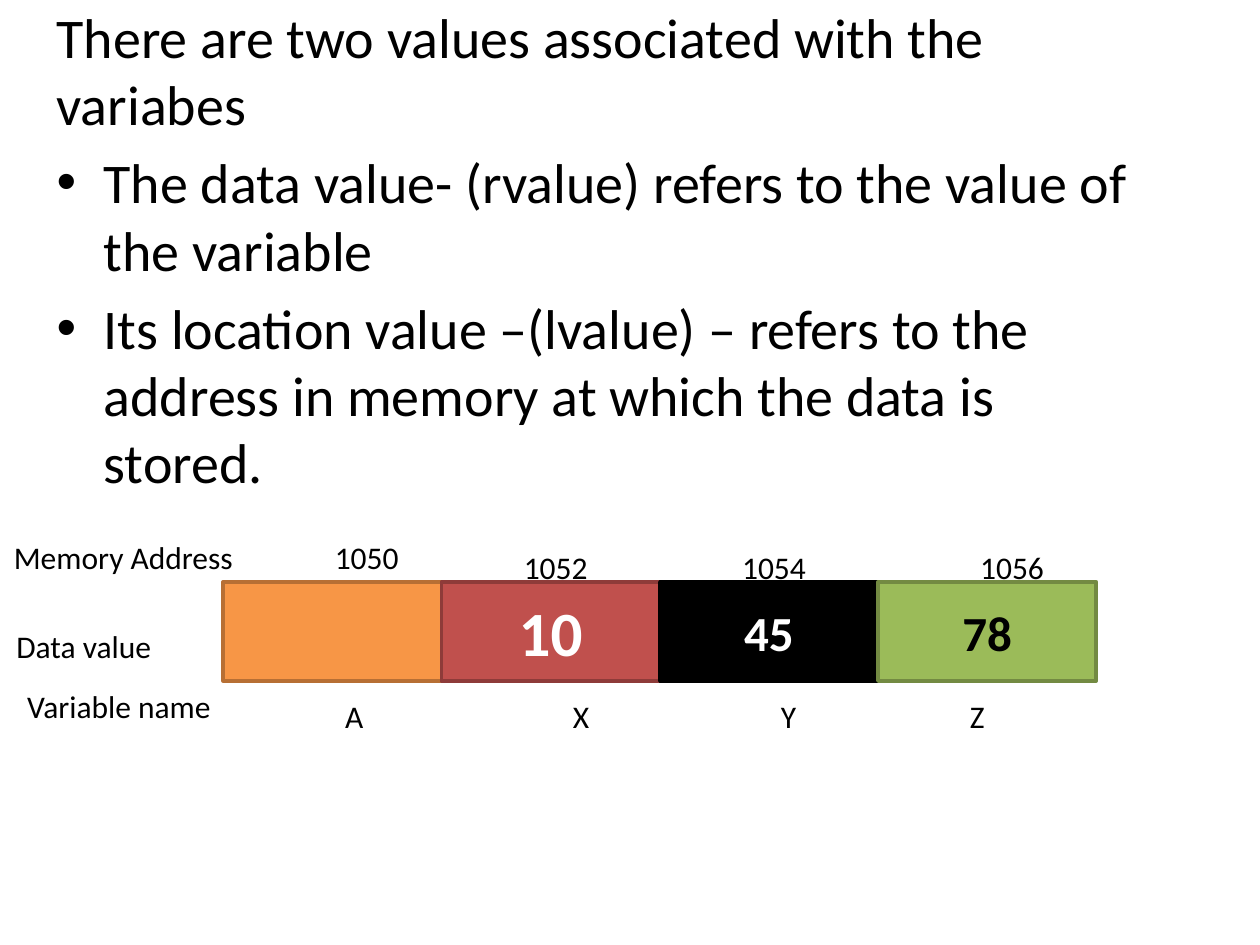
from pptx import Presentation
from pptx.dml.color import RGBColor
from pptx.enum.shapes import MSO_SHAPE as Shape
from pptx.enum.text import MSO_ANCHOR as Anchor, PP_ALIGN as Align
from pptx.oxml import parse_xml
from pptx.oxml.ns import nsdecls
from pptx.util import Cm, Pt

BLACK = RGBColor(0x00, 0x00, 0x00)
WHITE = RGBColor(0xFF, 0xFF, 0xFF)
ORANGE = RGBColor(0xF7, 0x96, 0x46)
DARK_ORANGE = RGBColor(0xB7, 0x6F, 0x34)
RED = RGBColor(0xC0, 0x50, 0x4D)
DARK_RED = RGBColor(0x8E, 0x3B, 0x39)
GREEN = RGBColor(0x9B, 0xBB, 0x59)
DARK_GREEN = RGBColor(0x73, 0x8A, 0x42)


def write(para, text, size=18, color=BLACK, bold=False, align=Align.LEFT):
    para.alignment = align
    span = para.add_run()
    span.text = text
    span.font.name = "Calibri"
    span.font.size = Pt(size)
    span.font.bold = bold
    span.font.color.rgb = color


deck = Presentation()
deck.slide_width, deck.slide_height = Cm(25.4), Cm(19.05)
page = deck.slides.add_slide(deck.slide_layouts[6])

# Explanation: an opening line and two bullets
box = page.shapes.add_textbox(Cm(0.89), Cm(-0.08), Cm(22.86), Cm(12.57))
frame = box.text_frame
frame.word_wrap = True
lines = [
    ("There are two values associated with the variabes", False),
    ("The data value- (rvalue) refers to the value of the variable", True),
    ("Its location value –(lvalue) – refers to the address in memory "
     "at which the data is stored.", True),
]
for index, (text, bulleted) in enumerate(lines):
    para = frame.add_paragraph() if index else frame.paragraphs[0]
    write(para, text, size=32)
    para.space_before = Pt(6.4)
    if bulleted:
        props = para._p.get_or_add_pPr()
        props.set("marL", str(Cm(0.95)))
        props.set("indent", str(Cm(-0.95)))
        props.append(parse_xml(f'<a:buFont {nsdecls("a")} typeface="Arial"/>'))
        props.append(parse_xml(f'<a:buChar {nsdecls("a")} char="•"/>'))

# Memory cells: value, text size, text colour, fill, border
cells = [
    ("", 28, BLACK, ORANGE, DARK_ORANGE),
    ("10", 36, WHITE, RED, DARK_RED),
    ("45", 28, WHITE, BLACK, BLACK),
    ("78", 28, BLACK, GREEN, DARK_GREEN),
]
for index, (value, size, color, fill, border) in enumerate(cells):
    cell = page.shapes.add_shape(
        Shape.RECTANGLE, Cm(4.5 + 4.4 * index), Cm(11.73), Cm(4.4), Cm(2))
    cell.shadow.inherit = False
    cell.fill.solid()
    cell.fill.fore_color.rgb = fill
    cell.line.color.rgb = border
    cell.line.width = Pt(2)
    if value:
        cell.text_frame.vertical_anchor = Anchor.MIDDLE
        write(cell.text_frame.paragraphs[0], value, size=size, color=color,
              bold=True, align=Align.CENTER)

# Labels around the cells: text, left, top, width
labels = [
    ("Memory Address", 0.03, 10.72, 5.21),
    ("Data value", 0.08, 12.52, 5.21),
    ("Variable name", 0.3, 13.72, 5.21),
    ("1050", 6.5, 10.72, 2.21),
    ("1052", 10.31, 10.92, 2.21),
    ("1054", 14.71, 10.92, 2.21),
    ("1056", 19.51, 10.92, 2.21),
    ("A", 6.71, 13.92, 1.4),
    ("X", 11.3, 13.92, 1.4),
    ("Y", 15.49, 13.92, 1.4),
    ("Z", 19.3, 13.92, 1.4),
]
for text, left, top, width in labels:
    label = page.shapes.add_textbox(Cm(left), Cm(top), Cm(width), Cm(1.02))
    label.text_frame.word_wrap = True
    write(label.text_frame.paragraphs[0], text)

deck.save("out.pptx")
